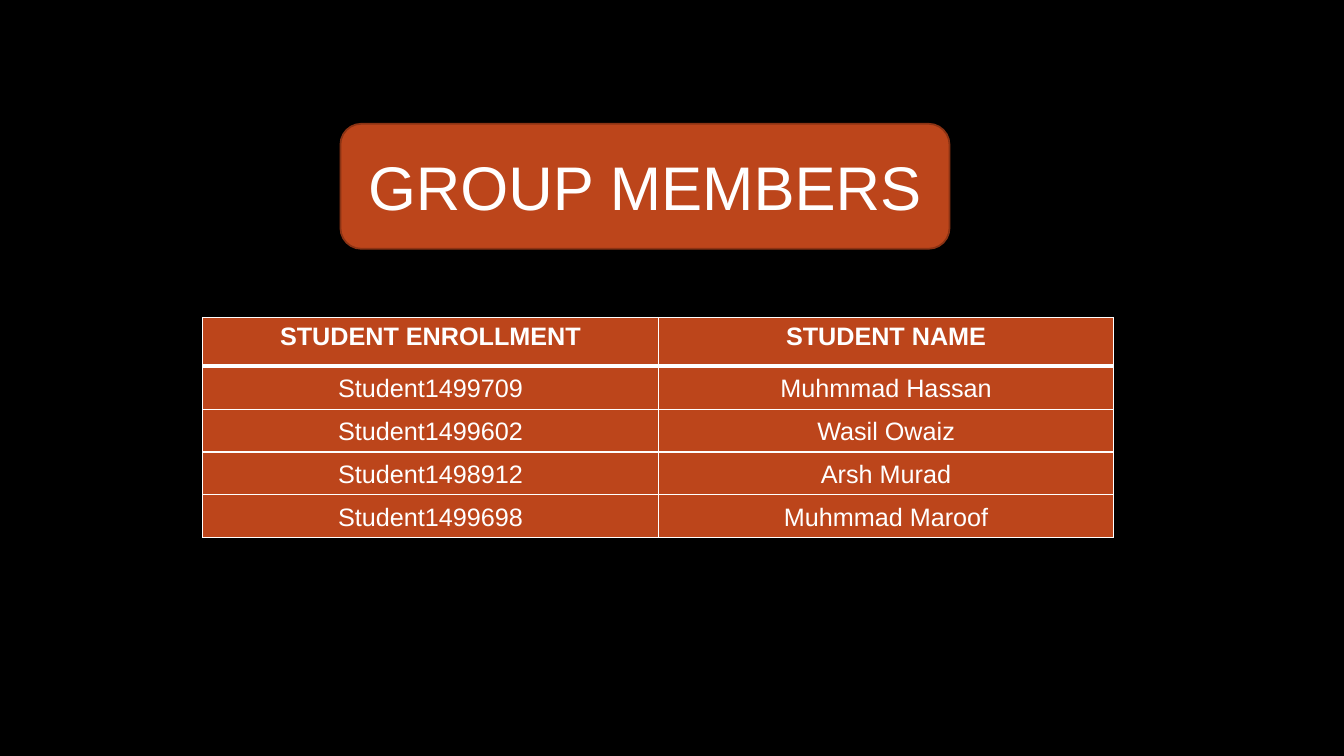
from lxml import etree
from pptx import Presentation
from pptx import util as u
from pptx.dml.color import RGBColor
from pptx.enum import shapes, text
from pptx.oxml import ns

BLACK = RGBColor(0x00, 0x00, 0x00)
WHITE = RGBColor(0xFF, 0xFF, 0xFF)
RUST = RGBColor(0xBC, 0x45, 0x1B)
DARK_RUST = RGBColor(0x8B, 0x33, 0x14)

MEMBERS = [
    ("STUDENT ENROLLMENT", "STUDENT NAME"),
    ("Student1499709", "Muhmmad Hassan"),
    ("Student1499602", "Wasil Owaiz"),
    ("Student1498912", "Arsh Murad"),
    ("Student1499698", "Muhmmad Maroof"),
]


class MemberSlide:
    font = "Arial"

    def __init__(self, prs):
        self.s = prs.slides.add_slide(prs.slide_layouts[5])
        bg = self.s.background.fill
        bg.solid()
        bg.fore_color.rgb = BLACK

    def add_text(self, tf, wording, size, bold=False):
        p = tf.paragraphs[0]
        p.alignment = text.PP_ALIGN.CENTER
        r = p.add_run()
        r.text = wording
        r.font.name = self.font
        r.font.size = u.Pt(size)
        r.font.bold = bold
        r.font.color.rgb = WHITE
        return p

    def plate(self, box):
        sp = self.s.shapes.add_shape(shapes.MSO_SHAPE.ROUNDED_RECTANGLE, *box)
        sp.shadow.inherit = False
        sp.fill.solid()
        sp.fill.fore_color.rgb = RUST
        sp.line.color.rgb = DARK_RUST
        sp.line.width = u.Pt(1.25)
        self.s.shapes.title.element.addprevious(sp.element)

    def title(self, wording, box):
        sp = self.s.shapes.title
        sp.left, sp.top, sp.width, sp.height = box
        tf = sp.text_frame
        tf.word_wrap = True
        tf.auto_size = text.MSO_AUTO_SIZE.NONE
        tf.vertical_anchor = text.MSO_ANCHOR.MIDDLE
        self.add_text(tf, wording, 44)

    def border(self, cell, side, width):
        tc_pr = cell._tc.get_or_add_tcPr()
        ln = etree.SubElement(tc_pr, ns.qn(f"a:ln{side}"), w=str(u.Pt(width)))
        fill = etree.SubElement(ln, ns.qn("a:solidFill"))
        etree.SubElement(fill, ns.qn("a:srgbClr"), val=str(WHITE))

    def cell(self, cell, wording, row):
        header = row == 0
        p = self.add_text(cell.text_frame, wording, 18, header)
        if not header:
            p.line_spacing = 1.07
            cell.vertical_anchor = text.MSO_ANCHOR.MIDDLE
            cell.margin_left = cell.margin_right = u.Cm(0.19)
            cell.margin_top = cell.margin_bottom = 0
        widths = {"L": 1, "R": 1, "T": 3 if row == 1 else 1, "B": 3 if header else 1}
        for side, width in widths.items():
            self.border(cell, side, width)
        cell.fill.solid()
        cell.fill.fore_color.rgb = RUST

    def table(self, rows, box, header_height, row_height):
        table = self.s.shapes.add_table(len(rows), len(rows[0]), *box).table
        for i, row in enumerate(rows):
            table.rows[i].height = row_height if i else header_height
            for j, wording in enumerate(row):
                self.cell(table.cell(i, j), wording, i)


def main():
    prs = Presentation()
    prs.slide_width, prs.slide_height = u.Cm(33.87), u.Cm(19.05)
    slide = MemberSlide(prs)
    title_box = u.Cm(8.58), u.Cm(3.12), u.Cm(15.35), u.Cm(3.15)
    slide.plate(title_box)
    slide.title("GROUP MEMBERS", title_box)
    table_box = u.Cm(5.11), u.Cm(8.01), u.Cm(22.96), u.Cm(5.54)
    slide.table(MEMBERS, table_box, u.Cm(1.22), u.Cm(1.08))
    prs.save("out.pptx")


if __name__ == "__main__":
    main()
